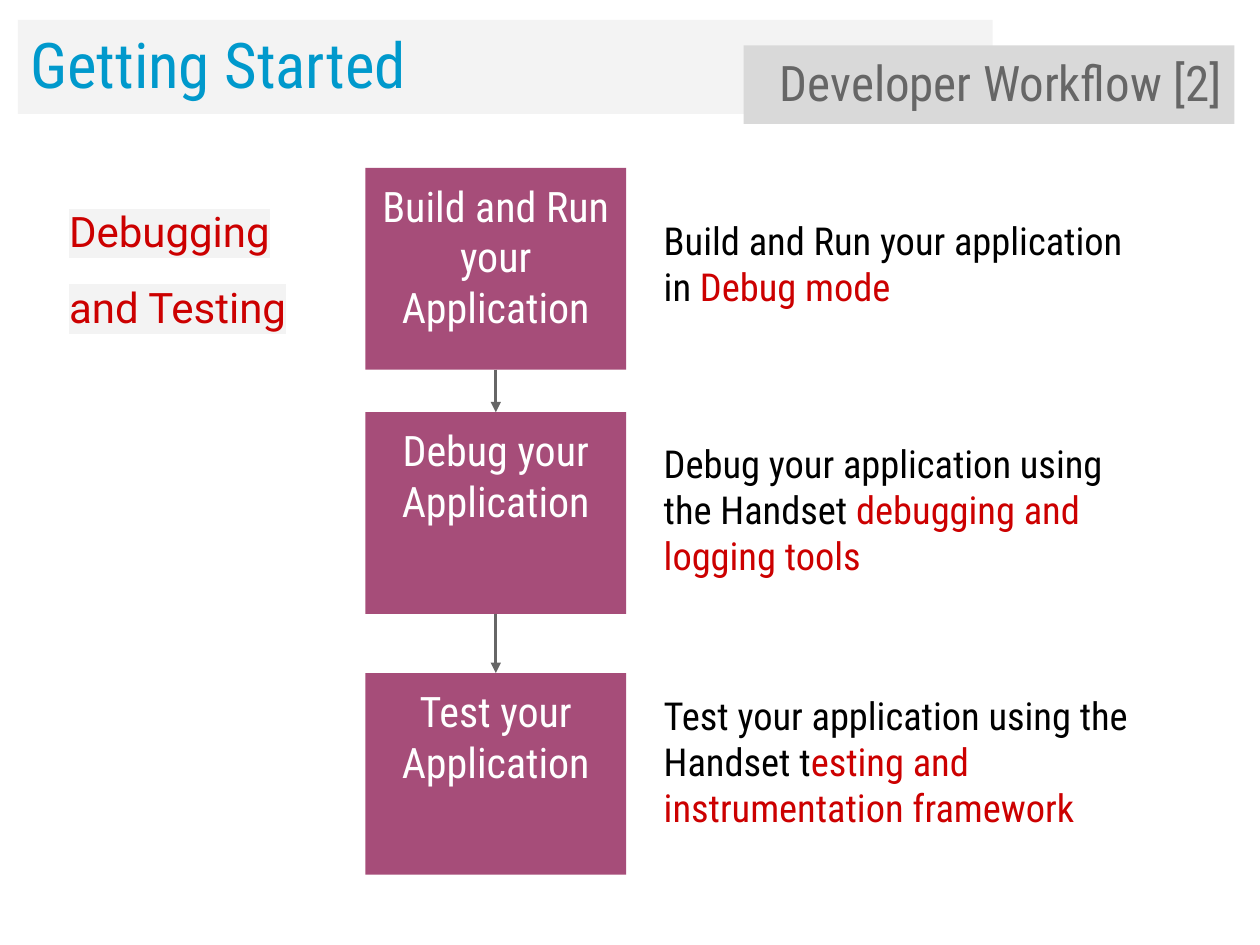
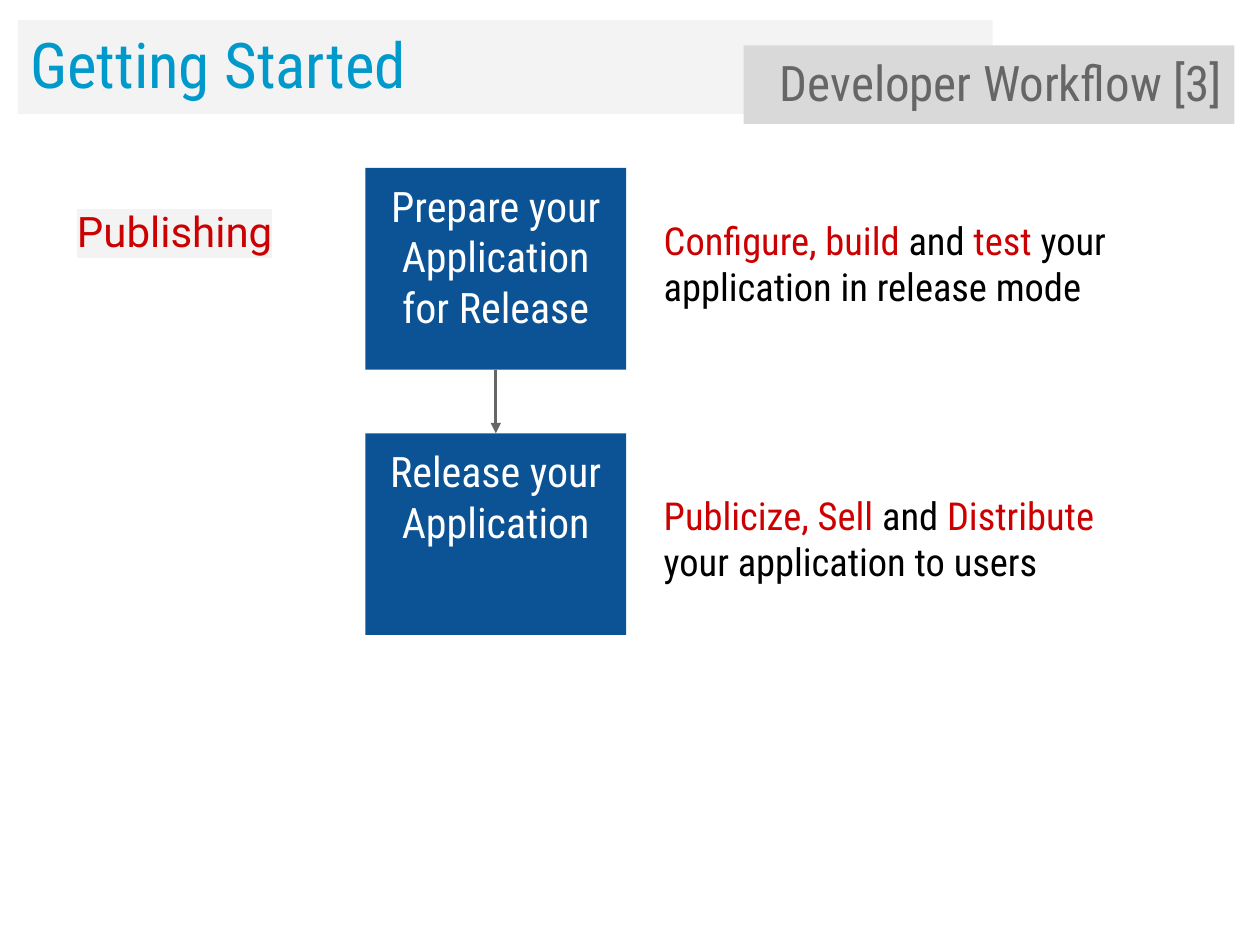
from dataclasses import dataclass

from lxml.etree import SubElement
from pptx import Presentation
from pptx.dml.color import RGBColor
from pptx.enum.shapes import MSO_CONNECTOR, MSO_SHAPE
from pptx.enum.text import MSO_ANCHOR, PP_ALIGN
from pptx.oxml.ns import qn
from pptx.util import Pt


@dataclass(frozen=True)
class Theme:
    font: str = "Roboto Condensed"
    label_font: str = "Roboto"
    title_size: int = 36
    topic_size: int = 28
    step_size: int = 24
    detail_size: int = 22
    title: str = "0099CC"
    title_band: str = "F3F3F3"
    topic: str = "666666"
    topic_band: str = "D9D9D9"
    accent: str = "CC0000"
    body: str = "000000"
    step_text: str = "FFFFFF"
    arrow: str = "666666"
    debugging: str = "A64D79"
    publishing: str = "0B5394"


theme = Theme()

STEP_LEFT, STEP_WIDTH, STEP_HEIGHT = 208.8, 149, 115.2
DETAIL_LEFT, DETAIL_WIDTH = 372.2, 290

# Each step: top, name, top of its detail, detail as (text, colour) spans
slides = [
    {
        "topic": "Developer Workflow [2]",
        "label": "Debugging and Testing",
        "label_area": (32.4, 96, 149, 90.7),
        "fill": theme.debugging,
        "steps": [
            (96, "Build and Run your Application", 116.6,
             [("Build and Run your application in ", theme.body),
              ("Debug mode", theme.accent)]),
            (235.6, "Debug your Application", 244,
             [("Debug your application using the Handset ", theme.body),
              ("debugging and logging tools", theme.accent)]),
            (384.6, "Test your Application", 388,
             [("Test your application using the Handset t", theme.body),
              ("esting and instrumentation framework", theme.accent)]),
        ],
    },
    {
        "topic": "Developer Workflow [3]",
        "label": "Publishing",
        "label_area": (36.9, 96, 149, 54),
        "fill": theme.publishing,
        "steps": [
            (96, "Prepare your Application for Release", 116.6,
             [("Configure, build ", theme.accent), ("and", theme.body),
              (" test ", theme.accent),
              ("your application in release mode", theme.body)]),
            (247.6, "Release your Application", 274,
             [("Publicize, Sell ", theme.accent), ("and", theme.body),
              (" Distribute", theme.accent),
              (" your application to users", theme.body)]),
        ],
    },
]


def add_box(page, area, spans, size, fill=None, font=theme.font,
            align=PP_ALIGN.LEFT, anchor=MSO_ANCHOR.TOP):
    """Add a one-paragraph box of (text, colour) spans; filled ones are rectangles."""
    place = [Pt(length) for length in area]
    if fill:
        box = page.shapes.add_shape(MSO_SHAPE.RECTANGLE, *place)
        box.shadow.inherit = False
        box.fill.solid()
        box.fill.fore_color.rgb = RGBColor.from_string(fill)
        box.line.fill.background()
    else:
        box = page.shapes.add_textbox(*place)
    frame = box.text_frame
    frame.word_wrap = True
    frame.vertical_anchor = anchor
    frame.margin_left = frame.margin_right = Pt(7.2)
    frame.margin_top = frame.margin_bottom = Pt(7.2)
    para = frame.paragraphs[0]
    para.alignment = align
    para.font.name = font
    para.font.size = Pt(size)
    for text, colour in spans:
        span = para.add_run()
        span.text = text
        span.font.color.rgb = RGBColor.from_string(colour)
    return box


def add_arrow(page, upper, lower):
    arrow = page.shapes.add_connector(MSO_CONNECTOR.STRAIGHT, 0, 0, 0, 0)
    arrow.begin_connect(upper, 2)
    arrow.end_connect(lower, 0)
    arrow.line.color.rgb = RGBColor.from_string(theme.arrow)
    arrow.line.width = Pt(1.5)
    SubElement(arrow.line._get_or_add_ln(), qn("a:tailEnd"), type="triangle")
    SubElement(arrow._element.spPr, qn("a:effectLst"))


deck = Presentation()
deck.slide_width, deck.slide_height = Pt(720), Pt(540)

for content in slides:
    page = deck.slides.add_slide(deck.slide_layouts[6])

    label = add_box(page, content["label_area"], [(content["label"], theme.accent)],
                    theme.step_size, font=theme.label_font)
    label_para = label.text_frame.paragraphs[0]
    label_para.line_spacing = 1.5
    label_style = label_para.runs[0].font._element
    highlight = SubElement(label_style, qn("a:highlight"))
    SubElement(highlight, qn("a:srgbClr"), val=theme.title_band)

    add_box(page, (10.2, 11.4, 557, 53.8), [("Getting Started", theme.title)],
            theme.title_size, theme.title_band, anchor=MSO_ANCHOR.BOTTOM)
    add_box(page, (425, 26, 280.4, 44.8), [(content["topic"], theme.topic)],
            theme.topic_size, theme.topic_band, align=PP_ALIGN.RIGHT,
            anchor=MSO_ANCHOR.BOTTOM)

    previous = None
    for top, name, detail_top, detail in content["steps"]:
        step = add_box(page, (STEP_LEFT, top, STEP_WIDTH, STEP_HEIGHT),
                       [(name, theme.step_text)], theme.step_size,
                       content["fill"], align=PP_ALIGN.CENTER)
        add_box(page, (DETAIL_LEFT, detail_top, DETAIL_WIDTH, 98.6),
                detail, theme.detail_size)
        if previous:
            add_arrow(page, previous, step)
        previous = step

deck.save("out.pptx")
